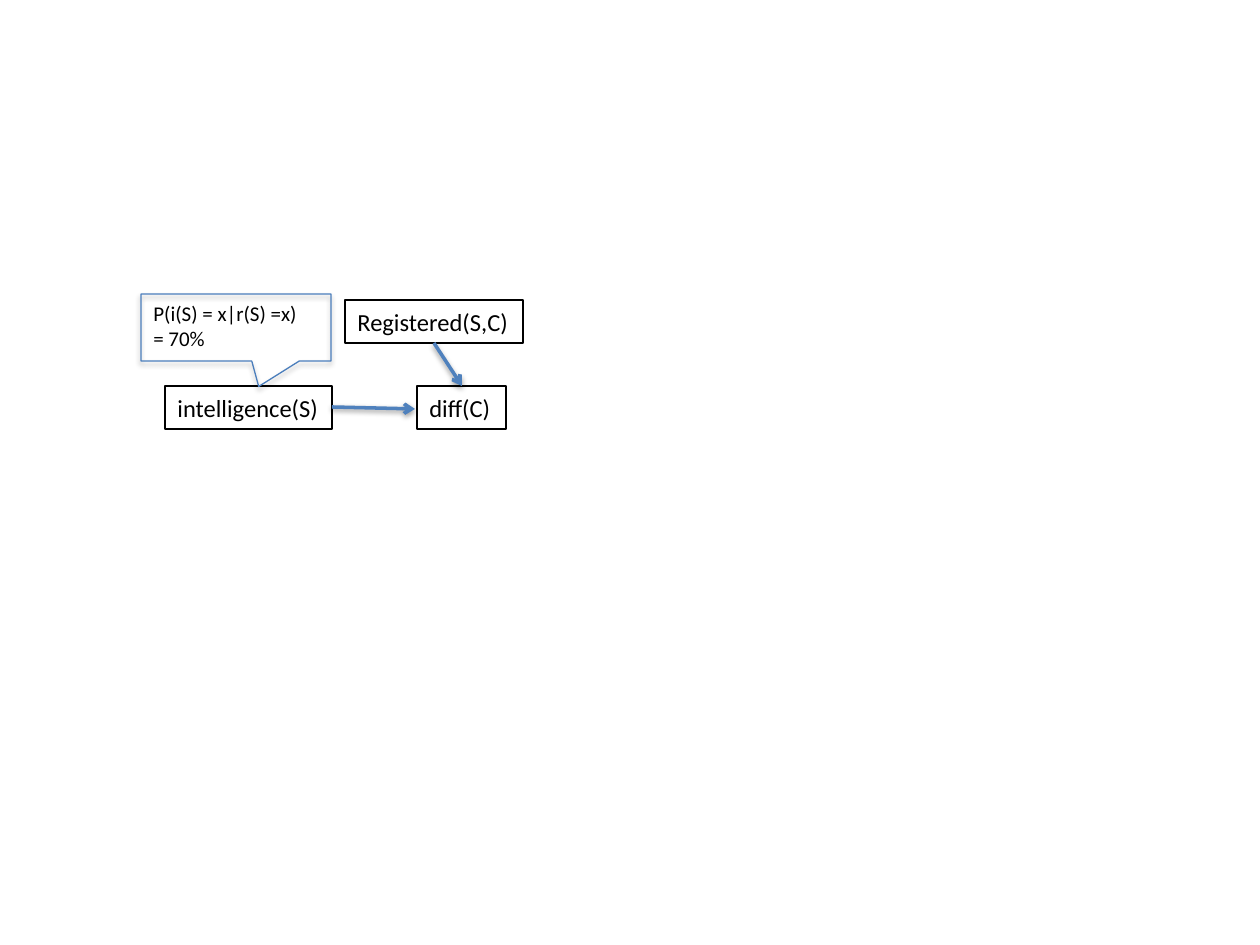
from dataclasses import dataclass

from lxml import etree
from pptx import Presentation
from pptx.dml.color import RGBColor
from pptx.enum.shapes import MSO_CONNECTOR, MSO_SHAPE
from pptx.enum.text import MSO_AUTO_SIZE, PP_ALIGN
from pptx.oxml.ns import qn
from pptx.util import Emu, Pt

RECT = MSO_SHAPE.RECTANGLE
CALLOUT = MSO_SHAPE.RECTANGULAR_CALLOUT
STRAIGHT = MSO_CONNECTOR.STRAIGHT
FIT = MSO_AUTO_SIZE.SHAPE_TO_FIT_TEXT
LEFT = PP_ALIGN.LEFT


@dataclass(frozen=True)
class Theme:
    """Colours, font and sizes of the slide."""
    font: str = "Calibri"
    ink: str = "000000"
    arrow: str = "4F81BD"
    callout: str = "4B7EBC"
    node_size: int = 14
    note_size: int = 12
    thin: float = 0.75
    thick: float = 2


THEME = Theme()


def px(n):
    """Turn pixels into EMU at 126 pixels to the inch."""
    return Emu(round(n * 914400 / 126))


def set_line(s, color, width):
    """Give a shape or connector a solid line."""
    s.line.color.rgb = RGBColor.from_string(color)
    s.line.width = Pt(width)


def add_shadow(s, alpha, distance):
    """Put a soft shadow below a shape or connector."""
    effects = etree.SubElement(s.element.spPr, qn("a:effectLst"))
    shadow = etree.SubElement(
        effects, qn("a:outerShdw"), blurRad=str(Pt(3.1)), dist=str(Pt(distance)),
        dir="5400000", rotWithShape="0")
    color = etree.SubElement(shadow, qn("a:srgbClr"), val=THEME.ink)
    etree.SubElement(color, qn("a:alpha"), val=str(alpha * 1000))


def set_text(s, text, size, wrap):
    """Write left-aligned text into a shape."""
    tf = s.text_frame
    tf.text = text
    tf.word_wrap = wrap
    tf.auto_size = FIT
    for p in tf.paragraphs:
        p.alignment = LEFT
        for r in p.runs:
            r.font.name = THEME.font
            r.font.size = Pt(size)
            r.font.color.rgb = RGBColor.from_string(THEME.ink)


def add_node(slide, x, y, w, text, wrap=False):
    """Draw one outlined node of the network."""
    s = slide.shapes.add_shape(RECT, px(x), px(y), px(w), px(43))
    s.fill.background()
    s.shadow.inherit = False
    set_line(s, THEME.ink, THEME.thin)
    set_text(s, text, THEME.node_size, wrap)


def add_arrow(slide, x1, y1, x2, y2):
    """Draw a shadowed arrow between two points."""
    s = slide.shapes.add_connector(STRAIGHT, px(x1), px(y1), px(x2), px(y2))
    set_line(s, THEME.arrow, THEME.thick)
    etree.SubElement(s.line._get_or_add_ln(), qn("a:tailEnd"), type="arrow")
    add_shadow(s, 38, 1.6)


def add_note(slide, x, y, text):
    """Draw the probability note and the callout around it."""
    box = slide.shapes.add_textbox(px(x), px(y), px(203), px(63))
    set_text(box, text, THEME.note_size, True)
    s = slide.shapes.add_shape(CALLOUT, px(x), px(y), px(190), px(67))
    s.adjustments[0] = 0.12
    s.adjustments[1] = 0.88
    s.fill.background()
    set_line(s, THEME.callout, THEME.thin)
    add_shadow(s, 35, 1.8)


def add_network(slide, x, y):
    """Place the network with its top left corner at x, y."""
    add_node(slide, x + 24, y + 92, 167, "intelligence(S)")
    add_node(slide, x + 276, y + 92, 89, "diff(C)", wrap=True)
    add_arrow(slide, x + 191, y + 113, x + 274, y + 115)
    add_node(slide, x + 204, y + 6, 178, "Registered(S,C)")
    add_arrow(slide, x + 293, y + 49, x + 321, y + 92)
    add_note(slide, x, y, "P(i(S) = x|r(S) =x)\n= 70%")


def main():
    """Build and save the slide."""
    prs = Presentation()
    prs.slide_width, prs.slide_height = px(1260), px(945)
    slide = prs.slides.add_slide(prs.slide_layouts[6])
    add_network(slide, 141, 294)
    prs.save("out.pptx")


if __name__ == "__main__":
    main()
